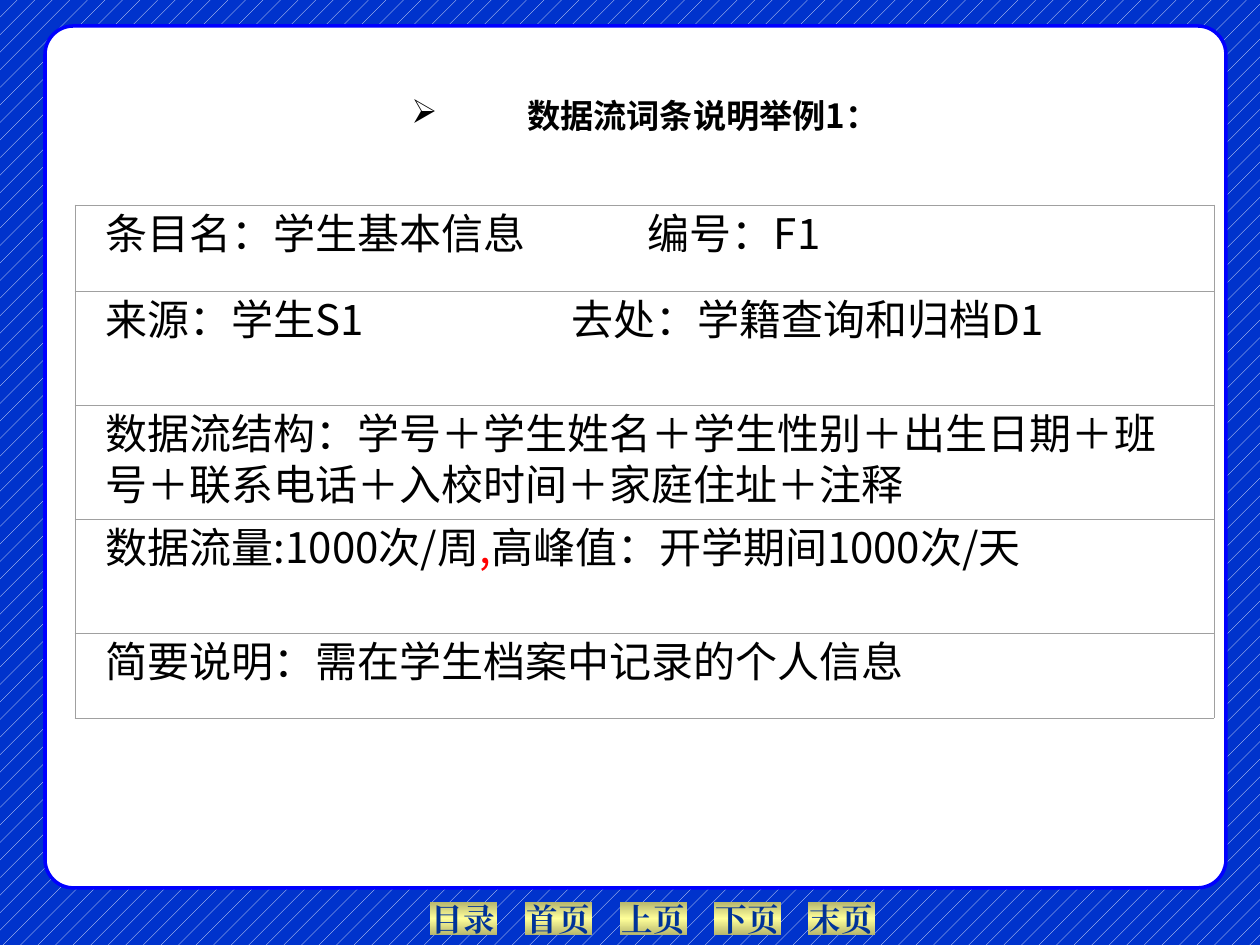
from copy import deepcopy

from lxml import etree
from pptx import Presentation
from pptx import util as u
from pptx.dml.color import RGBColor
from pptx.enum import dml, shapes, text
from pptx.oxml.ns import qn

PX = 914400 // 126
FONT = "Noto Sans CJK SC"
COLORS = {
    "background": "0033CC", "white": "FFFFFF", "frame": "0000FF",
    "black": "000000", "red": "FF0000", "grid": "A0A0A0",
    "button_edge": "B6B66D", "button_middle": "FFFF99", "button_text": "003399",
}
BUTTONS = ["目录", "首页", "上页", "下页", "末页"]
# Each entry: row height, tab stop (or None), coloured runs
ENTRIES = [
    (86, 542, [("条目名：学生基本信息\t编号：F1", "black")]),
    (114, 466, [("来源：学生S1\t去处：学籍查询和归档D1", "black")]),
    (114, None, [("数据流结构：学号＋学生姓名＋学生性别＋出生日期＋班号"
                  "＋联系电话＋入校时间＋家庭住址＋注释", "black")]),
    (114, None, [("数据流量:1000次/周", "black"), (",", "red"),
                 ("高峰值：开学期间1000次/天", "black")]),
    (85, None, [("简要说明：需在学生档案中记录的个人信息", "black")]),
]


def px(*lengths):
    return [u.Emu(length * PX) for length in lengths]


def rgb(name):
    return RGBColor.from_string(COLORS[name])


def format_run(run, size, color, bold=False, font=FONT):
    run.font.size = u.Pt(size)
    run.font.bold = bold
    run.font.name = font
    run.font.color.rgb = rgb(color)
    east_asian = etree.SubElement(run._r.get_or_add_rPr(), qn("a:ea"))
    east_asian.set("typeface", font)


def paint_background(slide):
    fill = slide.background.fill
    fill.patterned()
    fill.pattern = dml.MSO_PATTERN.PERCENT_5
    fill.fore_color.rgb = rgb("white")
    fill.back_color.rgb = rgb("background")


def add_button(slide, label, left):
    button = slide.shapes.add_shape(
        shapes.MSO_SHAPE.ACTION_BUTTON_CUSTOM, *px(left, 902, 67, 33))
    button.shadow.inherit = False
    button.line.fill.background()
    button.fill.gradient()
    button.fill.gradient_angle = 90
    stop_list = button.fill._fill._gradFill.gsLst
    stop_list.insert(1, deepcopy(stop_list[0]))
    names = ["button_edge", "button_middle", "button_edge"]
    for stop, name, position in zip(button.fill.gradient_stops, names, (0, 0.5, 1)):
        stop.color.rgb = rgb(name)
        stop.position = position
    frame = button.text_frame
    frame.text = label
    frame.word_wrap = False
    frame.vertical_anchor = text.MSO_ANCHOR.MIDDLE
    frame.paragraphs[0].alignment = text.PP_ALIGN.CENTER
    format_run(frame.paragraphs[0].runs[0], 18, "button_text", True, "Times New Roman")


def add_panel(slide):
    panel = slide.shapes.add_shape(
        shapes.MSO_SHAPE.ROUNDED_RECTANGLE, *px(45, 26, 1181, 862))
    panel.adjustments[0] = 0.033
    panel.shadow.inherit = False
    panel.fill.solid()
    panel.fill.fore_color.rgb = rgb("white")
    panel.line.color.rgb = rgb("frame")
    panel.line.width = u.Pt(2)


def set_title(slide, wording):
    title = slide.shapes.title
    slide.shapes._spTree.append(title._element)  # in front of the panel
    title.left, title.top, title.width, title.height = px(74, 86, 1142, 59)
    frame = title.text_frame
    frame.text = wording
    frame.auto_size = text.MSO_AUTO_SIZE.NONE
    frame.vertical_anchor = text.MSO_ANCHOR.MIDDLE
    paragraph = frame.paragraphs[0]
    paragraph.alignment = text.PP_ALIGN.CENTER
    properties = paragraph._p.get_or_add_pPr()
    hanging, = px(116)
    properties.set("marL", str(hanging))
    properties.set("indent", str(-hanging))
    etree.SubElement(properties, qn("a:buChar")).set("char", "➢")
    format_run(paragraph.runs[0], 19, "black", True)


def add_borders(cell):
    properties = cell._tc.get_or_add_tcPr()
    for side in ("lnL", "lnR", "lnT", "lnB"):
        border = etree.SubElement(properties, qn(f"a:{side}"), w=str(u.Pt(0.5)))
        fill = etree.SubElement(border, qn("a:solidFill"))
        etree.SubElement(fill, qn("a:srgbClr"), val=COLORS["grid"])


def fill_cell(cell, tab_stop, runs):
    add_borders(cell)
    cell.fill.background()
    cell.margin_left, cell.margin_right, cell.margin_top, cell.margin_bottom = px(31, 28, 6, 0)
    paragraph = cell.text_frame.paragraphs[0]
    paragraph.line_spacing = u.Pt(29)
    if tab_stop:
        tabs = etree.SubElement(paragraph._p.get_or_add_pPr(), qn("a:tabLst"))
        etree.SubElement(tabs, qn("a:tab"), pos=str(tab_stop * PX), algn="l")
    for wording, color in runs:
        run = paragraph.add_run()
        run.text = wording
        format_run(run, 24, color)


def add_entry_table(slide):
    total = sum(height for height, _, _ in ENTRIES)
    table = slide.shapes.add_table(len(ENTRIES), 1, *px(75, 205, 1139, total)).table
    table.first_row = table.horz_banding = False
    for row, (height, tab_stop, runs) in zip(table.rows, ENTRIES):
        row.height, = px(height)
        fill_cell(row.cells[0], tab_stop, runs)


def main():
    deck = Presentation()
    deck.slide_width, deck.slide_height = px(1260, 945)
    slide = deck.slides.add_slide(deck.slide_layouts[5])
    paint_background(slide)
    for index, label in enumerate(BUTTONS):
        add_button(slide, label, round(430.5 + 94.5 * index))
    add_panel(slide)
    set_title(slide, "数据流词条说明举例1：")
    add_entry_table(slide)
    deck.save("out.pptx")


if __name__ == "__main__":
    main()
